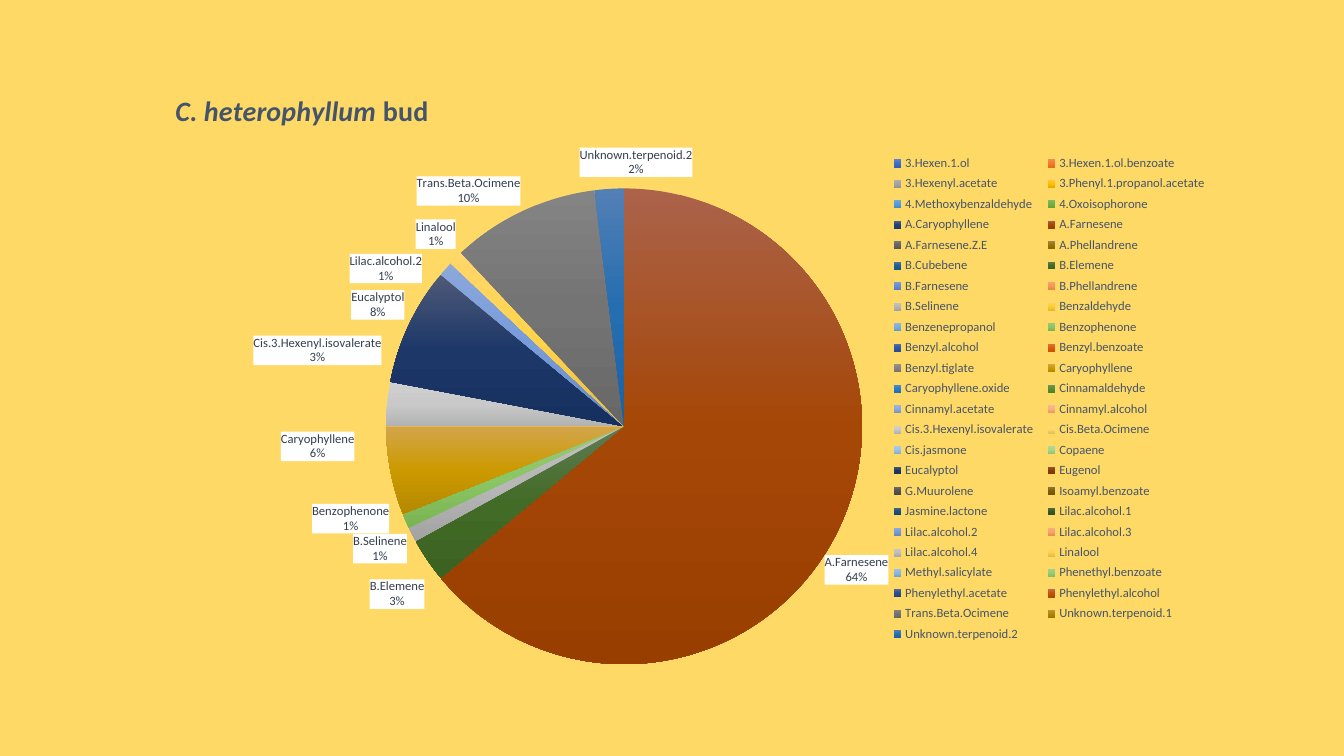
from copy import deepcopy

from pptx import Presentation
from pptx.chart.data import CategoryChartData
from pptx.dml.color import RGBColor
from pptx.enum.chart import XL_CHART_TYPE, XL_LABEL_POSITION, XL_LEGEND_POSITION
from pptx.oxml import parse_xml
from pptx.oxml.ns import nsdecls, qn
from pptx.util import Inches, Pt

COLORS = {"background": "FFD966", "heading": "44546A", "label": "333F50", "label_fill": "FFFFFF"}
FONT = "Calibri"
TITLE = [("C. heterophyllum", True), (" bud", False)]
CHART_BOX = (1.23, 0.77, 10.88, 5.96)
TITLE_CORNER = (1.71, 0.88)
PIE_BOX = (3.83, 1.87, 4.72, 4.72)
LEGEND_BOX = (8.76, 1.49, 3.29, 4.94)

LABEL_SHIFTS = {
    "A.Farnesene": (-0.2, 0.25),
    "B.Elemene": (0.02, 0.16),
    "B.Selinene": (0, -0.03),
    "Benzophenone": (-0.11, -0.19),
    "Caryophyllene": (-0.3, -0.4),
    "Cis.3.Hexenyl.isovalerate": (0, -0.38),
    "Eucalyptol": (0.01, -0.03),
    "Lilac.alcohol.2": (-0.19, 0.18),
    "Linalool": (0.04, -0.05),
    "Unknown.terpenoid.2": (0.27, -0.06),
}

COMPOUNDS = [
    ("3.Hexen.1.ol", 0, "6183CB 3E70CA 3062BB"),
    ("3.Hexen.1.ol.benzoate", 0, "F18C57 F67B28 E56C19"),
    ("3.Hexenyl.acetate", 0, "AFAFAF A5A5A5 939393"),
    ("3.Phenyl.1.propanol.acetate", 0, "FFC64B FFC000 E3AB00"),
    ("4.Methoxybenzaldehyde", 0, "71A6DB 559BDB 448ACA"),
    ("4.Oxoisophorone", 0, "81B861 6FB242 62A336"),
    ("A.Caryophyllene", 0, "516089 22427D 1A3A72"),
    ("A.Farnesene", 64, "AB634B A54707 983E00"),
    ("A.Farnesene.Z.E", 0, "777777 636363 585858"),
    ("A.Phellandrene", 0, "A4844B 997300 886600"),
    ("B.Cubebene", 0, "51739F 205E97 17548B"),
    ("B.Elemene", 3, "607B53 436B28 3B6220"),
    ("B.Farnesene", 0, "7C9BD6 648DD5 537BC3"),
    ("B.Phellandrene", 0, "F4A371 F89653 E58341"),
    ("B.Selinene", 1, "C0C0C0 B7B7B7 A3A3A3"),
    ("Benzaldehyde", 0, "FFD15A FFCD33 E5B72B"),
    ("Benzenepropanol", 0, "8CB8E2 77AFE2 649CCF"),
    ("Benzophenone", 1, "99C87B 8BC664 7BB553"),
    ("Benzyl.alcohol", 0, "566FAD 2D59A6 234D98"),
    ("Benzyl.benzoate", 0, "DC744C DC5E09 CB5200"),
    ("Benzyl.tiglate", 0, "929292 848484 757575"),
    ("Caryophyllene", 6, "D3A54B CC9A00 B58800"),
    ("Caryophyllene.oxide", 0, "558CCC 2A7DC9 1F70B9"),
    ("Cinnamaldehyde", 0, "6F9859 598E35 4E822B"),
    ("Cinnamyl.acetate", 0, "9DB4E1 8BA9DF 7795CB"),
    ("Cinnamyl.alcohol", 0, "F7BB94 FAB07E E59B69"),
    ("Cis.3.Hexenyl.isovalerate", 3, "D0D0D0 C9C9C9 B3B3B3"),
    ("Cis.Beta.Ocimene", 0, "FFDD7D FFD966 E5C258"),
    ("Cis.jasmone", 0, "A9CBEA 99C3E9 83AED4"),
    ("Copaene", 0, "B3D69B A8D48B 94C077"),
    ("Eucalyptol", 8, "4F5A78 1C3768 16305F"),
    ("Eugenol", 0, "935C4B 8A3B05 7F3300"),
    ("G.Muurolene", 0, "6A6A6A 525252 494949"),
    ("Isoamyl.benzoate", 0, "8E744B 806000 715500"),
    ("Jasmine.lactone", 0, "4F678A 1A4E7E 144674"),
    ("Lilac.alcohol.1", 0, "596E50 375921 31511B"),
    ("Lilac.alcohol.2", 1, "8CA8DB 789BDA 6588C7"),
    ("Lilac.alcohol.3", 0, "F5AF82 F9A368 E58F55"),
    ("Lilac.alcohol.4", 0, "C8C8C8 C0C0C0 ABABAB"),
    ("Linalool", 1, "FFD76A FFD34C E5BD42"),
    ("Methyl.salicylate", 0, "9AC1E6 88B9E6 73A5D2"),
    ("Phenethyl.benzoate", 0, "A6CF8B 9ACD77 88BB65"),
    ("Phenylethyl.acetate", 0, "53679A 284E91 1F4485"),
    ("Phenylethyl.alcohol", 0, "C36B4C C15208 B24800"),
    ("Trans.Beta.Ocimene", 10, "848484 747474 676767"),
    ("Unknown.terpenoid.1", 0, "BC944B B28600 9F7700"),
    ("Unknown.terpenoid.2", 2, "537FB5 256EB0 1B62A2"),
]


def color(name):
    return RGBColor.from_string(COLORS[name])


def style(font, size, name):
    font.name, font.size = FONT, Pt(size)
    font.color.rgb = color(name)


def layout_xml(box, inner=False):
    left, top, width, height = CHART_BOX
    x, y = (box[0] - left) / width, (box[1] - top) / height
    target = '<c:layoutTarget val="inner"/>' if inner else ""
    size = ""
    if len(box) == 4:
        size = f'<c:w val="{box[2] / width:.4f}"/><c:h val="{box[3] / height:.4f}"/>'
    return parse_xml(
        f'<c:layout {nsdecls("c")}><c:manualLayout>{target}'
        f'<c:xMode val="edge"/><c:yMode val="edge"/>'
        f'<c:x val="{x:.4f}"/><c:y val="{y:.4f}"/>{size}</c:manualLayout></c:layout>')


def set_layout(parent, box, before, inner=False):
    for old in parent.findall(qn("c:layout")):
        parent.remove(old)
    parent.find(qn(before)).addprevious(layout_xml(box, inner))


def slice_xml(index, shades):
    stops = "".join(
        f'<a:gs pos="{step * 50000}"><a:srgbClr val="{shade}"/></a:gs>'
        for step, shade in enumerate(shades.split()))
    return parse_xml(
        f'<c:dPt {nsdecls("c", "a")}><c:idx val="{index}"/><c:bubble3D val="0"/><c:spPr>'
        f'<a:gradFill rotWithShape="1"><a:gsLst>{stops}</a:gsLst>'
        f'<a:lin ang="5400000" scaled="0"/></a:gradFill><a:ln><a:noFill/></a:ln></c:spPr></c:dPt>')


def label_xml(index, name, value, settings):
    if value == 0:
        return parse_xml(
            f'<c:dLbl {nsdecls("c")}><c:idx val="{index}"/><c:delete val="1"/></c:dLbl>')
    x, y = LABEL_SHIFTS.get(name, (0, 0))
    label = parse_xml(
        f'<c:dLbl {nsdecls("c")}><c:idx val="{index}"/><c:layout><c:manualLayout>'
        f'<c:x val="{x / CHART_BOX[2]:.4f}"/><c:y val="{y / CHART_BOX[3]:.4f}"/>'
        f'</c:manualLayout></c:layout></c:dLbl>')
    for setting in settings:
        label.append(deepcopy(setting))
    return label


def add_title(chart):
    paragraph = chart.chart_title.text_frame.paragraphs[0]
    style(paragraph.font, 20, "heading")
    paragraph.font.bold = True
    for text, italic in TITLE:
        run = paragraph.add_run()
        run.text = text
        style(run.font, 20, "heading")
        run.font.bold, run.font.italic = True, italic
    chart.chart_title.include_in_layout = False
    set_layout(chart.chart_title._element, TITLE_CORNER, "c:overlay")


def add_legend(chart):
    chart.has_legend = True
    chart.legend.position = XL_LEGEND_POSITION.RIGHT
    chart.legend.include_in_layout = False
    style(chart.legend.font, 9, "heading")
    set_layout(chart.legend._element, LEGEND_BOX, "c:overlay")


def add_labels(series):
    labels = series.data_labels
    labels.show_category_name = labels.show_percentage = True
    labels.show_value = False
    labels.position = XL_LABEL_POSITION.OUTSIDE_END
    style(labels.font, 9, "label")
    element = labels._element
    element.find(qn("c:txPr")).addprevious(parse_xml(
        f'<c:spPr {nsdecls("c", "a")}><a:solidFill><a:srgbClr val="{COLORS["label_fill"]}"/>'
        f'</a:solidFill><a:ln><a:noFill/></a:ln></c:spPr>'))
    for leader in element.findall(qn("c:showLeaderLines")):
        element.remove(leader)
    element.append(parse_xml(f'<c:separator {nsdecls("c")}>\n</c:separator>'))
    settings = list(element)
    element.append(parse_xml(f'<c:showLeaderLines {nsdecls("c")} val="0"/>'))
    for index, (name, value, shades) in enumerate(COMPOUNDS):
        element.insert(index, label_xml(index, name, value, settings))
        element.addprevious(slice_xml(index, shades))


def main():
    presentation = Presentation()
    presentation.slide_width, presentation.slide_height = Inches(13.33), Inches(7.5)
    slide = presentation.slides.add_slide(presentation.slide_layouts[6])
    slide.background.fill.solid()
    slide.background.fill.fore_color.rgb = color("background")

    data = CategoryChartData()
    data.categories = [name for name, _, _ in COMPOUNDS]
    data.add_series("Series 1", [value for _, value, _ in COMPOUNDS])
    frame = slide.shapes.add_chart(XL_CHART_TYPE.PIE, *map(Inches, CHART_BOX), data)
    chart = frame.chart
    chart.font.name, chart.font.size = FONT, Pt(10)
    plot = chart.plots[0]
    plot.vary_by_categories = True
    add_title(chart)
    add_legend(chart)
    add_labels(plot.series[0])
    set_layout(plot._element.getparent(), PIE_BOX, "c:pieChart", inner=True)
    presentation.save("out.pptx")


if __name__ == "__main__":
    main()
